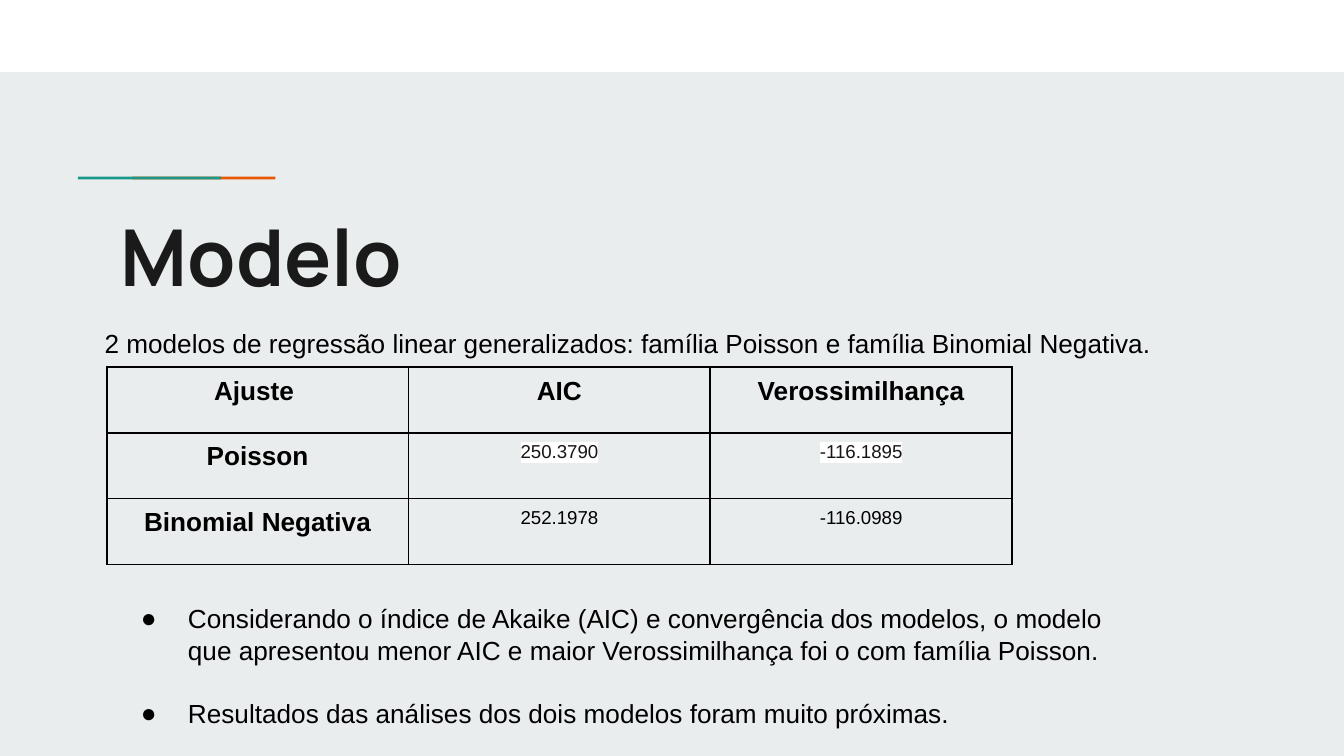
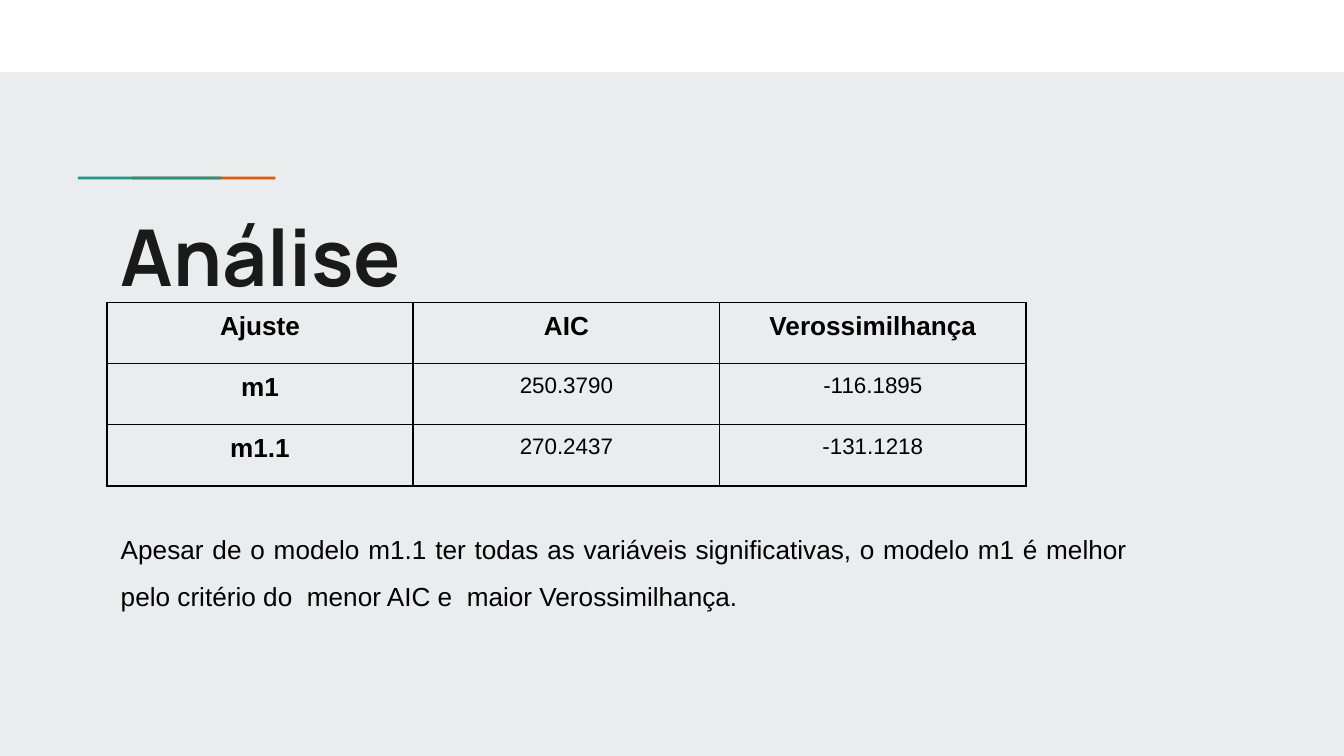
from lxml import etree
from pptx import Presentation
from pptx.dml.color import RGBColor
from pptx.enum.shapes import MSO_SHAPE as SHAPE
from pptx.enum.text import MSO_ANCHOR as ANCHOR, PP_ALIGN as ALIGN
from pptx.oxml.ns import qn
from pptx.util import Pt

PX = 4572
WIDTH, HEIGHT = 2000, 1125
COLORS = {
    "background": "E9EDEE",
    "band": "FFFFFF",
    "orange": "EB5600",
    "green": "1A9988",
    "title": "1A1A1A",
    "text": "000000",
    "value": "161616",
    "highlight": "FFFFFF",
}


def rgb(name):
    return RGBColor.from_string(COLORS[name])


def add_color(parent, name):
    etree.SubElement(parent, qn("a:srgbClr"), val=COLORS[name])


def write_text(tf, text, size=14, font="Arial", color="text", bold=False,
               align=ALIGN.LEFT, spacing=None, gap=0, bullet=None, highlight=None):
    """Write each line of text as a paragraph, with gap points between them."""
    for i, line in enumerate(text.split("\n")):
        p = tf.add_paragraph() if i else tf.paragraphs[0]
        p.alignment = align
        if spacing:
            p.line_spacing = spacing
        if i and gap:
            p.space_before = Pt(gap)
        if bullet:
            pPr = p._p.get_or_add_pPr()
            pPr.set("marL", str(100 * PX))
            pPr.set("indent", str(-70 * PX))
            add_color(etree.SubElement(pPr, qn("a:buClr")), color)
            etree.SubElement(pPr, qn("a:buFont"), typeface=font)
            etree.SubElement(pPr, qn("a:buChar"), char=bullet)
        r = p.add_run()
        r.text = line
        r.font.size, r.font.name, r.font.bold = Pt(size), font, bold
        r.font.color.rgb = rgb(color)
        if highlight:
            mark = etree.Element(qn("a:highlight"))
            add_color(mark, highlight)
            r._r.rPr.find(qn("a:solidFill")).addnext(mark)


class Deck:
    """Holds the shared style and the slide being built."""

    def __init__(self):
        self.prs = Presentation()
        self.prs.slide_width, self.prs.slide_height = WIDTH * PX, HEIGHT * PX
        self.s = None

    def slide(self, title):
        self.s = self.prs.slides.add_slide(self.prs.slide_layouts[6])
        fill = self.s.background.fill
        fill.solid()
        fill.fore_color.rgb = rgb("background")
        self.rect(0, 0, WIDTH, 107, "band")
        self.rect(197, 263, 213, 4, "orange")
        self.rect(116, 263, 213, 4, "green")
        self.text(160, 290, 1682, 180, title, anchor=ANCHOR.MIDDLE,
                  size=42, font="Manrope", color="title", bold=True)

    def rect(self, x, y, w, h, color):
        sp = self.s.shapes.add_shape(SHAPE.RECTANGLE, x * PX, y * PX, w * PX, h * PX)
        sp.shadow.inherit = False
        sp.fill.solid()
        sp.fill.fore_color.rgb = rgb(color)
        sp.line.fill.background()

    def text(self, x, y, w, h, text, anchor=ANCHOR.TOP, **style):
        tf = self.s.shapes.add_textbox(x * PX, y * PX, w * PX, h * PX).text_frame
        tf.word_wrap = True
        tf.vertical_anchor = anchor
        tf.margin_left = tf.margin_right = tf.margin_top = tf.margin_bottom = 20 * PX
        write_text(tf, text, **style)

    def border(self, cell):
        tcPr = cell._tc.get_or_add_tcPr()
        for i, side in enumerate(("lnL", "lnR", "lnT", "lnB")):
            ln = etree.Element(qn("a:" + side), w=str(Pt(1)))
            add_color(etree.SubElement(ln, qn("a:solidFill")), "text")
            tcPr.insert(i, ln)

    def table(self, x, y, col_w, row_h, rows, value_size, marked_row=None):
        n, m = len(rows), len(rows[0])
        tbl = self.s.shapes.add_table(
            n, m, x * PX, y * PX, m * col_w * PX, n * row_h * PX).table
        tbl.first_row = tbl.horz_banding = False
        for i, row in enumerate(rows):
            tbl.rows[i].height = row_h * PX
            for j, value in enumerate(row):
                cell = tbl.cell(i, j)
                cell.margin_left = cell.margin_right = 14 * PX
                cell.margin_top = cell.margin_bottom = 14 * PX
                cell.fill.background()
                self.border(cell)
                if i == 0 or j == 0:
                    style = {"bold": True}
                elif i == marked_row:
                    style = {"size": value_size, "color": "value", "highlight": "highlight"}
                else:
                    style = {"size": value_size}
                write_text(cell.text_frame, value, align=ALIGN.CENTER, **style)


def main():
    measures = ("AIC", "Verossimilhança")
    deck = Deck()

    deck.slide("Modelo")
    deck.text(136, 467, 1612, 80, "2 modelos de regressão linear generalizados: "
              "família Poisson e família Binomial Negativa.")
    deck.table(159, 546, 449, 98, [
        ("Ajuste ", *measures),
        ("Poisson", "250.3790", "-116.1895"),
        ("Binomial Negativa", "252.1978", "-116.0989"),
    ], value_size=10, marked_row=1)
    deck.text(160, 877, 1538, 216,
              "Considerando o índice de Akaike (AIC) e convergência dos modelos, o modelo "
              "que apresentou menor AIC e maior Verossimilhança foi o com família Poisson.\n"
              "Resultados das análises dos dois modelos foram muito próximas.",
              bullet="●", gap=17)

    deck.slide("Análise")
    deck.table(159, 450, 456, 91, [
        ("Ajuste", *measures),
        ("m1", "250.3790", "-116.1895"),
        ("m1.1", "270.2437", "-131.1218"),
    ], value_size=12)
    deck.text(160, 751, 1538, 180,
              "Apesar de o modelo m1.1 ter todas as variáveis significativas, o modelo m1 é "
              "melhor pelo critério do  menor AIC e  maior Verossimilhança.",
              align=ALIGN.JUSTIFY, spacing=1.5)

    deck.prs.save("out.pptx")


if __name__ == "__main__":
    main()
